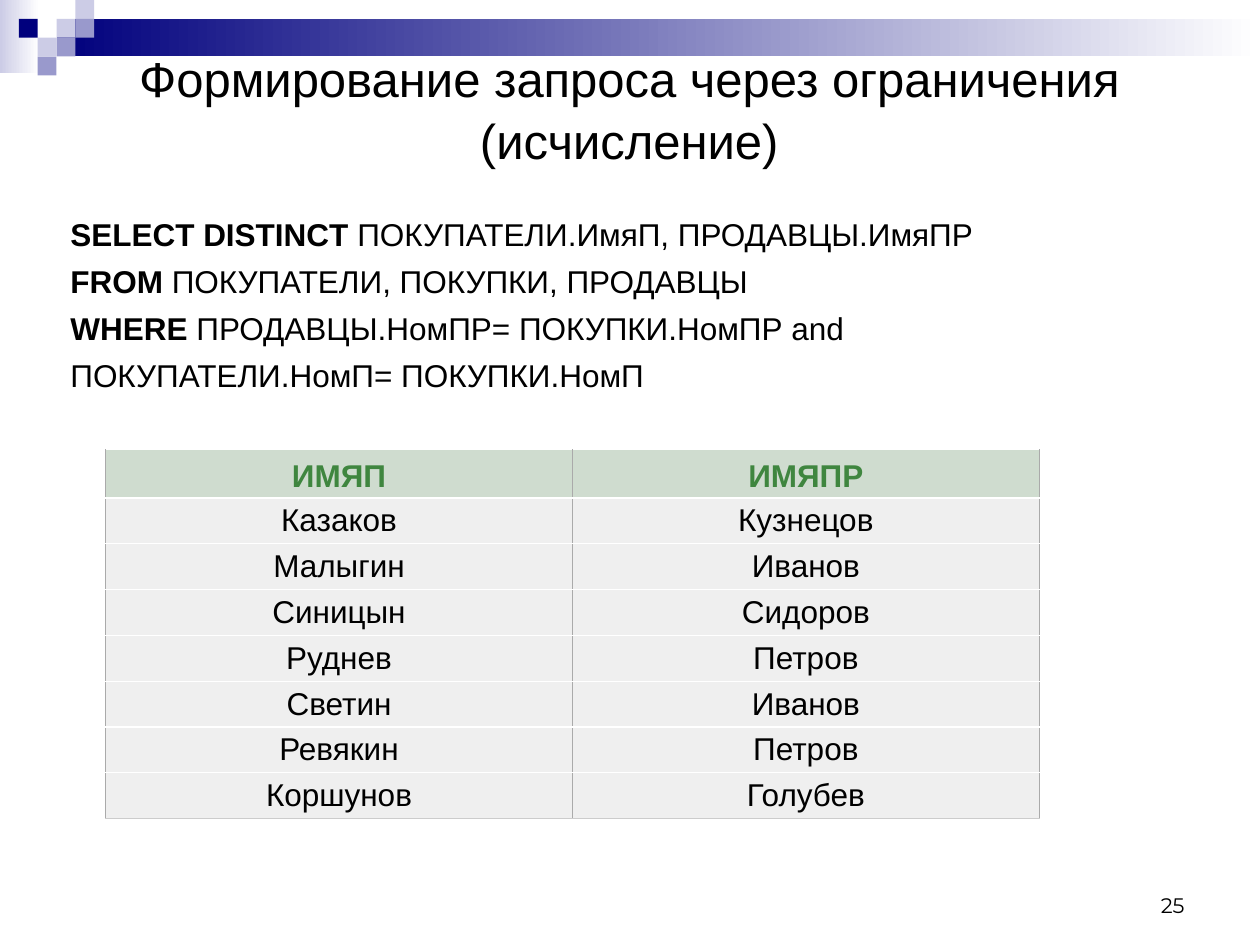
from pptx import Presentation
from pptx.util import Cm, Pt
from pptx.dml.color import RGBColor
from pptx.enum.shapes import MSO_SHAPE
from pptx.enum.text import MSO_ANCHOR, PP_ALIGN
from pptx.oxml.ns import qn
from lxml.etree import SubElement

NAVY = RGBColor(0x00, 0x00, 0x7D)
LILAC = RGBColor(0xCC, 0xCC, 0xE6)
MAUVE = RGBColor(0x99, 0x99, 0xCC)
WHITE = RGBColor(0xFF, 0xFF, 0xFF)
BLACK = RGBColor(0x00, 0x00, 0x00)
GREEN = RGBColor(0x3F, 0x86, 0x3F)
SAGE = RGBColor(0xCF, 0xDC, 0xCF)
PALE = RGBColor(0xEF, 0xEF, 0xEF)
GREY = RGBColor(0xAA, 0xAA, 0xAA)
SILVER = RGBColor(0xCC, 0xCC, 0xCC)

deck = Presentation()
deck.slide_width, deck.slide_height = Cm(25.4), Cm(19.05)
slide = deck.slides.add_slide(deck.slide_layouts[6])
shapes = slide.shapes


def add_block(left, top, width, height, color, fade=False):
    block = shapes.add_shape(MSO_SHAPE.RECTANGLE, Cm(left), Cm(top), Cm(width), Cm(height))
    block.shadow.inherit = False
    block.line.fill.background()
    if fade:
        block.fill.gradient()
        block.fill.gradient_angle = 0
        for stop, tint in zip(block.fill.gradient_stops, (color, WHITE)):
            stop.color.rgb = tint
    else:
        block.fill.solid()
        block.fill.fore_color.rgb = color


def set_font(para, size, color=BLACK, name="Arial"):
    para.font.size = Pt(size)
    para.font.name = name
    para.font.color.rgb = color


add_block(0, 0, 0.79, 1.47, LILAC, True)
add_block(1.14, 0.38, 24.26, 0.76, NAVY, True)
unit = 0.38
tiles = [(3, 1, LILAC), (4, 0, LILAC), (4, 1, MAUVE), (2, 2, LILAC),
         (1, 1, NAVY), (3, 2, MAUVE), (2, 3, MAUVE)]
for col, row, color in tiles:
    add_block(col * unit, row * unit, unit, unit, color)

query = [("SELECT DISTINCT", " ПОКУПАТЕЛИ.ИмяП, ПРОДАВЦЫ.ИмяПР"),
         ("FROM", " ПОКУПАТЕЛИ, ПОКУПКИ, ПРОДАВЦЫ"),
         ("WHERE", " ПРОДАВЦЫ.НомПР= ПОКУПКИ.НомПР and"),
         ("", "ПОКУПАТЕЛИ.НомП= ПОКУПКИ.НомП")]
frame = shapes.add_textbox(Cm(1.17), Cm(4.39), Cm(22.43), Cm(3.3)).text_frame
frame.word_wrap = True
frame.vertical_anchor = MSO_ANCHOR.MIDDLE
for i, (key, rest) in enumerate(query):
    para = frame.add_paragraph() if i else frame.paragraphs[0]
    para.line_spacing = 1.25
    set_font(para, 18)
    if key:
        run = para.add_run()
        run.text = key
        run.font.bold = True
    para.add_run().text = rest

frame = shapes.add_textbox(Cm(18.21), Cm(17.35), Cm(5.92), Cm(1.27)).text_frame
frame.word_wrap = True
frame.vertical_anchor = MSO_ANCHOR.BOTTOM
para = frame.paragraphs[0]
para.text = "25"
para.alignment = PP_ALIGN.RIGHT
set_font(para, 12, name="Montserrat")

names = [("ИМЯП", "ИМЯПР"), ("Казаков", "Кузнецов"), ("Малыгин", "Иванов"),
         ("Синицын", "Сидоров"), ("Руднев", "Петров"), ("Светин", "Иванов"),
         ("Ревякин", "Петров"), ("Коршунов", "Голубев")]
table = shapes.add_table(len(names), 2, Cm(2.13), Cm(9.07), Cm(18.82), Cm(7.06)).table
for r, pair in enumerate(names):
    head = r == 0
    table.rows[r].height = Cm(0.97 if head else 0.87)
    base = SILVER if r == len(names) - 1 else WHITE
    for c, name in enumerate(pair):
        cell = table.cell(r, c)
        cell.margin_left = cell.margin_right = Cm(0.23)
        cell.margin_top = cell.margin_bottom = Cm(0.08)
        cell.vertical_anchor = MSO_ANCHOR.BOTTOM if head else MSO_ANCHOR.MIDDLE
        props = cell._tc.get_or_add_tcPr()
        for side, color in zip("LRTB", (GREY, GREY, WHITE, base)):
            line = SubElement(props, qn(f"a:ln{side}"), w=str(Pt(0.75)))
            SubElement(SubElement(line, qn("a:solidFill")), qn("a:srgbClr"), val=str(color))
        cell.fill.solid()
        cell.fill.fore_color.rgb = SAGE if head else PALE
        para = cell.text_frame.paragraphs[0]
        para.text = name
        para.alignment = PP_ALIGN.CENTER
        set_font(para, 18, GREEN if head else BLACK)
        para.font.bold = head

frame = shapes.add_textbox(Cm(1.24), Cm(0.79), Cm(22.89), Cm(2.64)).text_frame
frame.word_wrap = True
para = frame.paragraphs[0]
para.text = "Формирование запроса через ограничения (исчисление)"
para.alignment = PP_ALIGN.CENTER
para.line_spacing = 1.05
set_font(para, 28)

deck.save("out.pptx")
